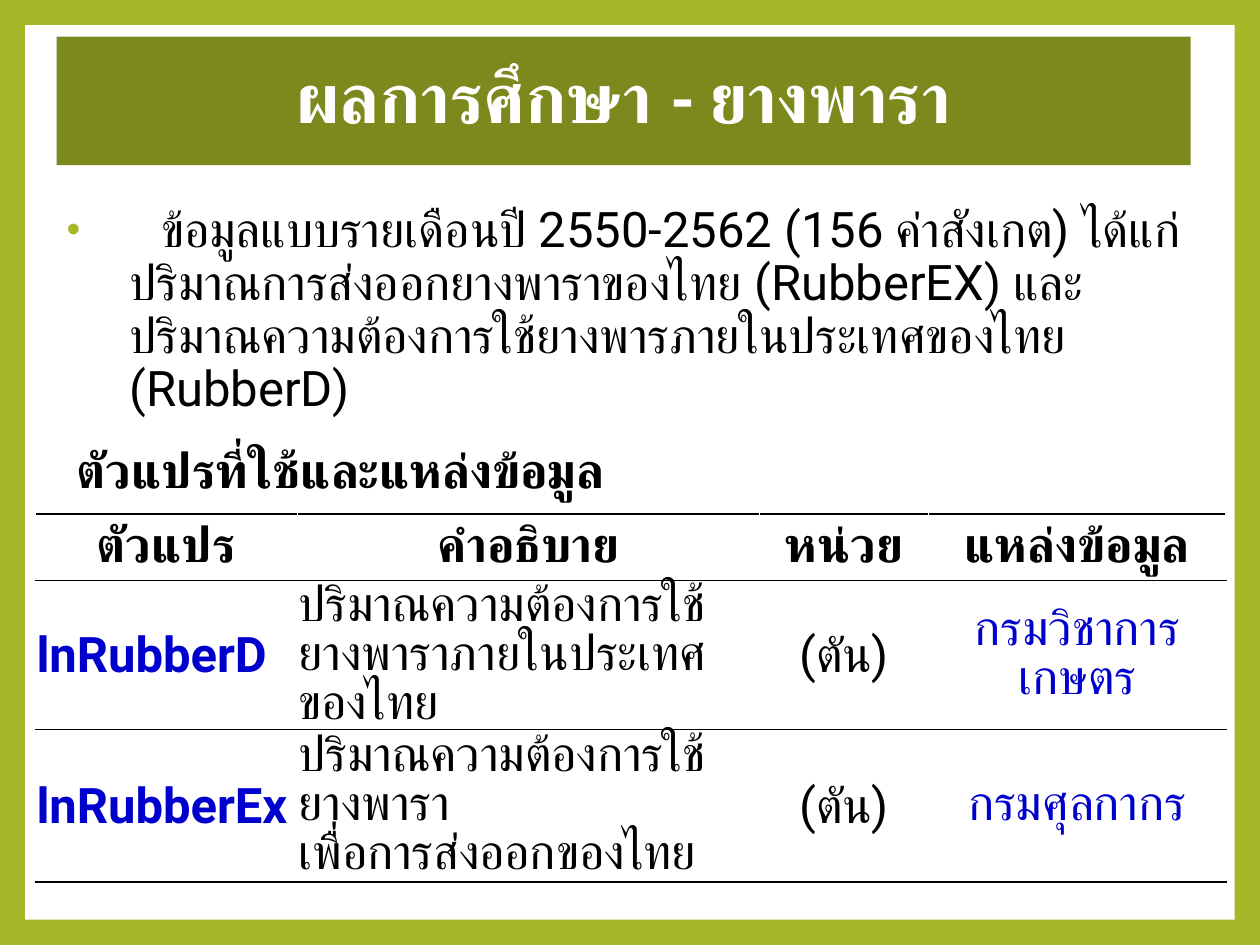
import pptx
import pptx.util
import pptx.dml.color
import pptx.enum.shapes
import pptx.enum.text
import pptx.oxml.ns
import lxml.etree

Inches = pptx.util.Inches
Pt = pptx.util.Pt
align = pptx.enum.text.PP_ALIGN
middle = pptx.enum.text.MSO_ANCHOR.MIDDLE
rect = pptx.enum.shapes.MSO_SHAPE.RECTANGLE
qn = pptx.oxml.ns.qn


def paint(part, color):
    if hasattr(part, "solid"):
        part.solid()
        part = part.fore_color
    else:
        part = part.color
    part.rgb = pptx.dml.color.RGBColor.from_string(color)


def write(par, text, color="000000", bold=False, size=28, face="Roboto"):
    par.text = text
    for run in par.runs:
        run.font.size = Pt(size)
        run.font.name = face
        run.font.bold = bold
        paint(run.font, color)


deck = pptx.Presentation()
deck.slide_width = Inches(10)
deck.slide_height = Inches(7.5)
slide = deck.slides.add_slide(deck.slide_layouts[6])
paint(slide.background.fill, "A6B727")

panel = slide.shapes.add_shape(rect, Inches(0.2), Inches(0.2), Inches(9.6), Inches(7.1))
title = slide.shapes.add_shape(rect, Inches(0.45), Inches(0.29), Inches(9), Inches(1.02))
for shape, color in ((panel, "FFFFFF"), (title, "7D891D")):
    shape.shadow.inherit = False
    paint(shape.fill, color)
    shape.line.fill.background()
title.text_frame.vertical_anchor = middle
par = title.text_frame.paragraphs[0]
write(par, "ผลการศึกษา - ยางพารา", "FFFFFF", True, 40, "Calibri")
par.alignment = align.CENTER
par.line_spacing = 0.9

body = slide.shapes.add_textbox(Inches(0.43), Inches(1.58), Inches(9.07), Inches(1.64))
body.text_frame.word_wrap = True
par = body.text_frame.paragraphs[0]
write(par, "\tข้อมูลแบบรายเดือนปี 2550-2562 (156 ค่าสังเกต) ได้แก่ ปริมาณการส่งออกยางพาราของไทย (RubberEX) และปริมาณความต้องการใช้ยางพารภายในประเทศของไทย (RubberD)")
par.line_spacing = 0.9
par.space_before = Pt(10)
props = par._p.get_or_add_pPr()
props.set("marL", str(Inches(0.5)))
props.set("indent", str(-Inches(0.5)))
tint = lxml.etree.SubElement(props, qn("a:buClr"))
lxml.etree.SubElement(tint, qn("a:srgbClr"), val="A6B727")
lxml.etree.SubElement(props, qn("a:buSzPct"), val="80000")
lxml.etree.SubElement(props, qn("a:buFont"), typeface="Arial")
lxml.etree.SubElement(props, qn("a:buChar"), char="•")
tabs = lxml.etree.SubElement(props, qn("a:tabLst"))
lxml.etree.SubElement(tabs, qn("a:tab"), pos=str(Inches(0.75)), algn="l")

head = slide.shapes.add_textbox(Inches(0.51), Inches(3.44), Inches(9), Inches(0.63))
head.text_frame.word_wrap = True
par = head.text_frame.paragraphs[0]
write(par, "ตัวแปรที่ใช้และแหล่งข้อมูล", bold=True)
par.space_before = Pt(5.6)

rows = [
    ["ตัวแปร", "คำอธิบาย", "หน่วย", "แหล่งข้อมูล"],
    ["lnRubberD", "ปริมาณความต้องการใช้ยางพาราภายในประเทศของไทย", "(ตัน)", "กรมวิชาการเกษตร"],
    ["lnRubberEx", "ปริมาณความต้องการใช้ยางพารา\nเพื่อการส่งออกของไทย", "(ตัน)", "กรมศุลกากร"],
]
inks = ["0000CC", "000000", "000000", "0000CC"]
tall = [0.53, 1.18, 1.21]
frame = slide.shapes.add_table(3, 4, Inches(0.28), Inches(4.08), Inches(9.45), Inches(sum(tall)))
table = frame.table
table.first_row = False
table.horz_banding = False
for col, width in zip(table.columns, (2.08, 3.67, 1.34, 2.36)):
    col.width = Inches(width)
for row, height in zip(table.rows, tall):
    row.height = Inches(height)

for r, row in enumerate(rows):
    for c, text in enumerate(row):
        cell = table.cell(r, c)
        cell.vertical_anchor = middle
        cell.margin_left = cell.margin_right = cell.margin_top = Inches(0.01)
        cell.margin_bottom = 0
        par = cell.text_frame.paragraphs[0]
        write(par, text, inks[c] if r else "000000", r == 0 or c == 0)
        par.alignment = align.CENTER if r == 0 or c > 1 else align.LEFT
        if r and c == 1:
            par.line_spacing = Pt(28)
        props = cell._tc.get_or_add_tcPr()
        top = 1 if r == 0 else 0.5
        base = 1 if r == 2 else 0.5
        for side, color, width in (("L", "FFFFFF", 1), ("R", "FFFFFF", 1),
                                   ("T", "000000", top), ("B", "000000", base)):
            edge = lxml.etree.SubElement(props, qn("a:ln" + side), w=str(Pt(width)))
            fill = lxml.etree.SubElement(edge, qn("a:solidFill"))
            lxml.etree.SubElement(fill, qn("a:srgbClr"), val=color)
        cell.fill.background()

deck.save("out.pptx")
